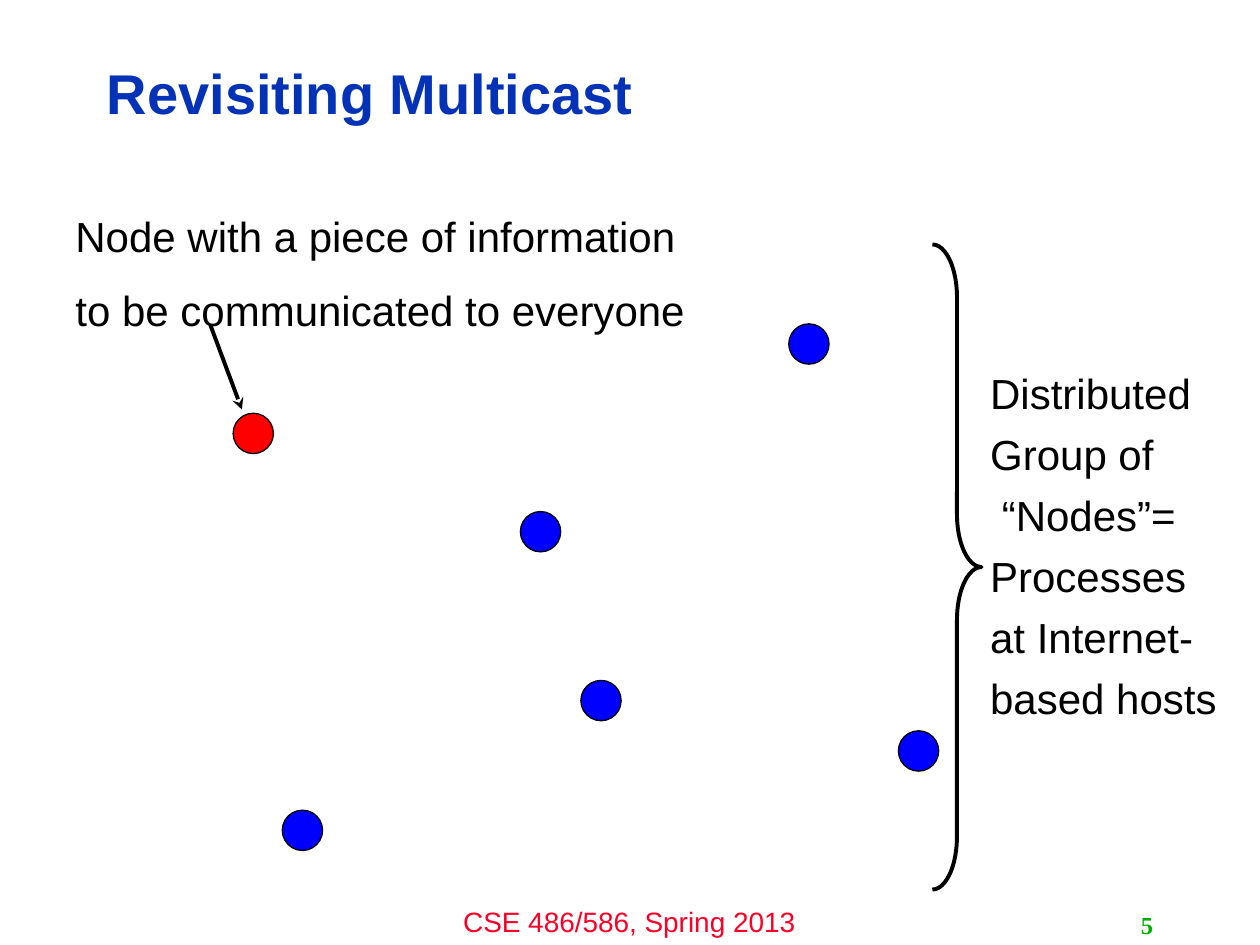
from pptx import Presentation
from pptx.dml.color import RGBColor
from pptx.enum.shapes import MSO_CONNECTOR, MSO_SHAPE
from pptx.enum.text import MSO_ANCHOR, PP_ALIGN
from pptx.oxml.ns import qn
from pptx.util import Inches, Pt
from lxml.etree import SubElement

COLORS = {
    "title": "0332B7",
    "footer": "FC0128",
    "number": "00AE00",
    "ink": "000000",
    "source": "FF0000",
    "node": "0000FF",
}
COLUMNS, ROWS = 100, 75
NODE_SIZE = 3.2


class SlideBuilder:
    def __init__(self, deck):
        self.slide = deck.slides.add_slide(deck.slide_layouts[6])
        self.column = deck.slide_width / COLUMNS
        self.row = deck.slide_height / ROWS

    def place(self, left, top, width, height):
        return (round(left * self.column), round(top * self.row),
                round(width * self.column), round(height * self.row))

    def color(self, name):
        return RGBColor.from_string(COLORS[name])

    def outline(self, shape, weight):
        shape.line.color.rgb = self.color("ink")
        shape.line.width = Pt(weight)

    def text(self, lines, area, size, color="ink", font="Arial", bold=False,
             align=PP_ALIGN.LEFT, anchor=MSO_ANCHOR.TOP, wrap=True, gap=0, spacing=1.0):
        box = self.slide.shapes.add_textbox(*self.place(*area))
        frame = box.text_frame
        frame.word_wrap = wrap
        frame.vertical_anchor = anchor
        for index, line in enumerate(lines):
            para = frame.add_paragraph() if index else frame.paragraphs[0]
            para.alignment = align
            para.line_spacing = spacing
            para.space_before = Pt(gap if index else 0)
            span = para.add_run()
            span.text = line
            span.font.name = font
            span.font.size = Pt(size)
            span.font.bold = bold
            span.font.color.rgb = self.color(color)

    def node(self, left, top, color="node"):
        area = self.place(left, top, NODE_SIZE, NODE_SIZE)
        circle = self.slide.shapes.add_shape(MSO_SHAPE.OVAL, *area)
        circle.shadow.inherit = False
        circle.fill.solid()
        circle.fill.fore_color.rgb = self.color(color)
        self.outline(circle, 0.75)

    def brace(self, area, curve):
        brace = self.slide.shapes.add_shape(MSO_SHAPE.RIGHT_BRACE, *self.place(*area))
        brace.shadow.inherit = False
        brace.adjustments[0] = curve
        brace.fill.background()
        self.outline(brace, 2.25)

    def arrow(self, start, end):
        points = self.place(*start, *end)
        arrow = self.slide.shapes.add_connector(MSO_CONNECTOR.STRAIGHT, *points)
        self.outline(arrow, 2.25)
        SubElement(arrow.line._get_or_add_ln(), qn("a:tailEnd"), type="stealth")
        SubElement(arrow._element.spPr, qn("a:effectLst"))


deck = Presentation()
deck.slide_width = Inches(10)
deck.slide_height = Inches(7.5)
page = SlideBuilder(deck)

page.text(["CSE 486/586, Spring 2013"], (33.3, 71.3, 33.3, 3.7), 16,
          color="footer", align=PP_ALIGN.CENTER)
page.text(["Revisiting Multicast"], (7.5, 3.6, 79.8, 8.1), 32,
          color="title", bold=True, anchor=MSO_ANCHOR.MIDDLE, spacing=0.9)
page.text(["5"], (71.7, 71.8, 20.8, 3.2), 14, color="number", font="Times New Roman",
          bold=True, align=PP_ALIGN.RIGHT, anchor=MSO_ANCHOR.MIDDLE)

page.node(18.5, 32.8, "source")
for left, top in [(46.1, 54), (22.4, 64.3), (71.3, 58), (41.3, 40.6), (62.6, 25.7)]:
    page.node(left, top)

page.text(["Distributed", "Group of", " “Nodes”=", "Processes", "at Internet-", "based hosts"],
          (77.6, 28.7, 20.2, 29.3), 24, wrap=False, gap=6)
page.brace((74, 19.4, 3.9, 51.2), 1.08)
page.text(["Node with a piece of information", "to be communicated to everyone"],
          (5, 16.2, 50.9, 11.1), 24, wrap=False, gap=13.5)
page.arrow((16.7, 25.8), (19.2, 32.5))

deck.save("out.pptx")
